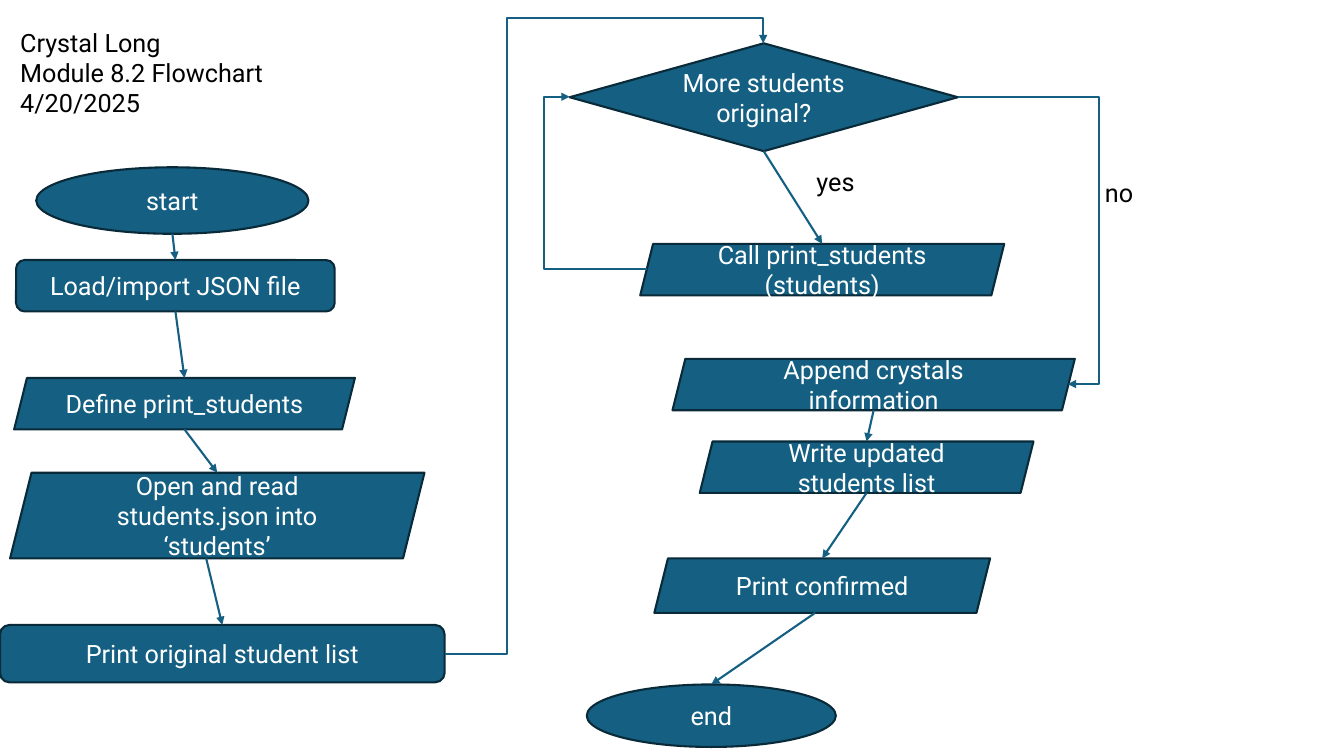
from lxml import etree
from pptx import Presentation
from pptx.dml.color import RGBColor
from pptx.enum.shapes import MSO_CONNECTOR, MSO_SHAPE
from pptx.enum.text import MSO_ANCHOR, MSO_AUTO_SIZE, PP_ALIGN
from pptx.oxml.ns import qn
from pptx.util import Emu, Pt

PX = 9144  # 100 px to the inch
TITLE_ONLY = 5
FONT = "Roboto"
TEXT_SIZE = Pt(18)
LINE_WIDTH = Pt(1.5)

BLUE = RGBColor(0x15, 0x60, 0x82)
DARK_BLUE = RGBColor(0x09, 0x2A, 0x39)
WHITE = RGBColor(0xFF, 0xFF, 0xFF)
BLACK = RGBColor(0x00, 0x00, 0x00)

OVAL = MSO_SHAPE.OVAL
ROUNDED = MSO_SHAPE.ROUNDED_RECTANGLE
PARALLELOGRAM = MSO_SHAPE.PARALLELOGRAM
DIAMOND = MSO_SHAPE.DIAMOND
STRAIGHT = MSO_CONNECTOR.STRAIGHT
ELBOW = MSO_CONNECTOR.ELBOW
LEFT, CENTER = PP_ALIGN.LEFT, PP_ALIGN.CENTER
TOP, MIDDLE = MSO_ANCHOR.TOP, MSO_ANCHOR.MIDDLE
NO_AUTOFIT = MSO_AUTO_SIZE.NONE

# Shapes whose sites 0 and 2 are the middles of the top and bottom
JOINABLE = (ROUNDED, DIAMOND)
TOP_SITE, BOTTOM_SITE = 0, 2

# Name: shape, box (left, top, width, height), text
STEPS = {
    "start": (OVAL, (36, 166, 270, 66), "start"),
    "load": (ROUNDED, (16, 258, 316, 51), "Load/import JSON file"),
    "define": (PARALLELOGRAM, (14, 375, 338, 51), "Define print_students"),
    "open": (PARALLELOGRAM, (10, 469, 411, 85),
             "Open and read students.json into ‘students’"),
    "print": (ROUNDED, (0, 620, 441, 57), "Print original student list"),
    "more": (DIAMOND, (565, 43, 385, 107), "More students original?"),
    "call": (PARALLELOGRAM, (635, 242, 361, 51), "Call print_students (students)"),
    "append": (PARALLELOGRAM, (667, 356, 399, 51), "Append crystals information"),
    "write": (PARALLELOGRAM, (694, 438, 331, 51), "Write updated students list"),
    "confirm": (PARALLELOGRAM, (649, 554, 333, 54), "Print confirmed"),
    "end": (OVAL, (582, 679, 247, 62), "end"),
}

# From, to, sideways shift of the starting point
FLOWS = [
    ("start", "load", 0), ("load", "define", 0), ("define", "open", 0),
    ("open", "print", -11), ("more", "call", 0), ("append", "write", 0),
    ("write", "confirm", 0), ("confirm", "end", -7),
]


def px(*lengths):
    return [Emu(round(length * PX)) for length in lengths]


def write_text(shape, lines, color, align, anchor):
    frame = shape.text_frame
    frame.word_wrap = True
    frame.auto_size = NO_AUTOFIT
    frame.vertical_anchor = anchor
    for index, line in enumerate(lines):
        paragraph = frame.add_paragraph() if index else frame.paragraphs[0]
        paragraph.alignment = align
        run = paragraph.add_run()
        run.text = line
        run.font.name = FONT
        run.font.size = TEXT_SIZE
        run.font.color.rgb = color


def add_title(slide, box, lines):
    title = slide.shapes.title
    title.left, title.top, title.width, title.height = px(*box)
    write_text(title, lines, BLACK, LEFT, TOP)


def add_label(slide, box, text):
    label = slide.shapes.add_textbox(*px(*box))
    write_text(label, [text], BLACK, LEFT, TOP)


def add_step(slide, kind, box, text):
    shape = slide.shapes.add_shape(kind, *px(*box))
    shape.shadow.inherit = False
    shape.fill.solid()
    shape.fill.fore_color.rgb = BLUE
    shape.line.color.rgb = DARK_BLUE
    shape.line.width = LINE_WIDTH
    write_text(shape, [text], WHITE, CENTER, MIDDLE)
    return shape


def add_arrow(slide, kind, begin, end):
    connector = slide.shapes.add_connector(kind, *px(*begin, *end))
    connector.line.color.rgb = BLUE
    connector.line.width = LINE_WIDTH
    properties = connector.element.spPr
    etree.SubElement(properties.find(qn("a:ln")), qn("a:tailEnd"), type="triangle")
    etree.SubElement(properties, qn("a:effectLst"))
    return connector


def add_flow(slide, steps, source_name, target_name, shift):
    """Straight arrow from the bottom of one step to the top of another."""
    source_kind, (left, top, width, height), _ = STEPS[source_name]
    target_kind, (target_left, target_top, target_width, _), _ = STEPS[target_name]
    begin = (left + width / 2 + shift, top + height)
    end = (target_left + target_width / 2, target_top)
    connector = add_arrow(slide, STRAIGHT, begin, end)
    if source_kind in JOINABLE:
        connector.begin_connect(steps[source_name], BOTTOM_SITE)
    if target_kind in JOINABLE:
        connector.end_connect(steps[target_name], TOP_SITE)


def add_elbow(slide, begin, end, *bends):
    """Bent arrow; bends are the x, and if needed the y, that it turns at."""
    connector = add_arrow(slide, ELBOW, begin, end)
    geometry = connector.element.spPr.find(qn("a:prstGeom"))
    geometry.set("prst", f"bentConnector{len(bends) + 2}")
    adjustments = geometry.find(qn("a:avLst"))
    for number, (bend, first, last) in enumerate(zip(bends, begin, end), 1):
        ratio = round((bend - first) / (last - first) * 100000)
        etree.SubElement(adjustments, qn("a:gd"), name=f"adj{number}",
                         fmla=f"val {ratio}")


def main():
    presentation = Presentation()
    presentation.slide_width, presentation.slide_height = px(1333, 750)
    slide = presentation.slides.add_slide(presentation.slide_layouts[TITLE_ONLY])

    # Heading
    add_title(slide, (10, 22, 316, 101),
              ["Crystal Long", "Module 8.2 Flowchart", "4/20/2025"])

    # Steps and the straight arrows between them
    steps = {name: add_step(slide, *step) for name, step in STEPS.items()}
    for flow in FLOWS:
        add_flow(slide, steps, *flow)

    # Bent arrows: the no branch, the loop back, and on to the second column
    add_elbow(slide, (950, 96), (1059, 381), 1090)
    add_elbow(slide, (642, 267), (565, 96), 540)
    add_elbow(slide, (441, 649), (757, 43), 503, 18)

    # Branch labels
    add_label(slide, (800, 160, 104, 40), "yes")
    add_label(slide, (1086, 171, 61, 40), "no")

    presentation.save("out.pptx")


if __name__ == "__main__":
    main()
